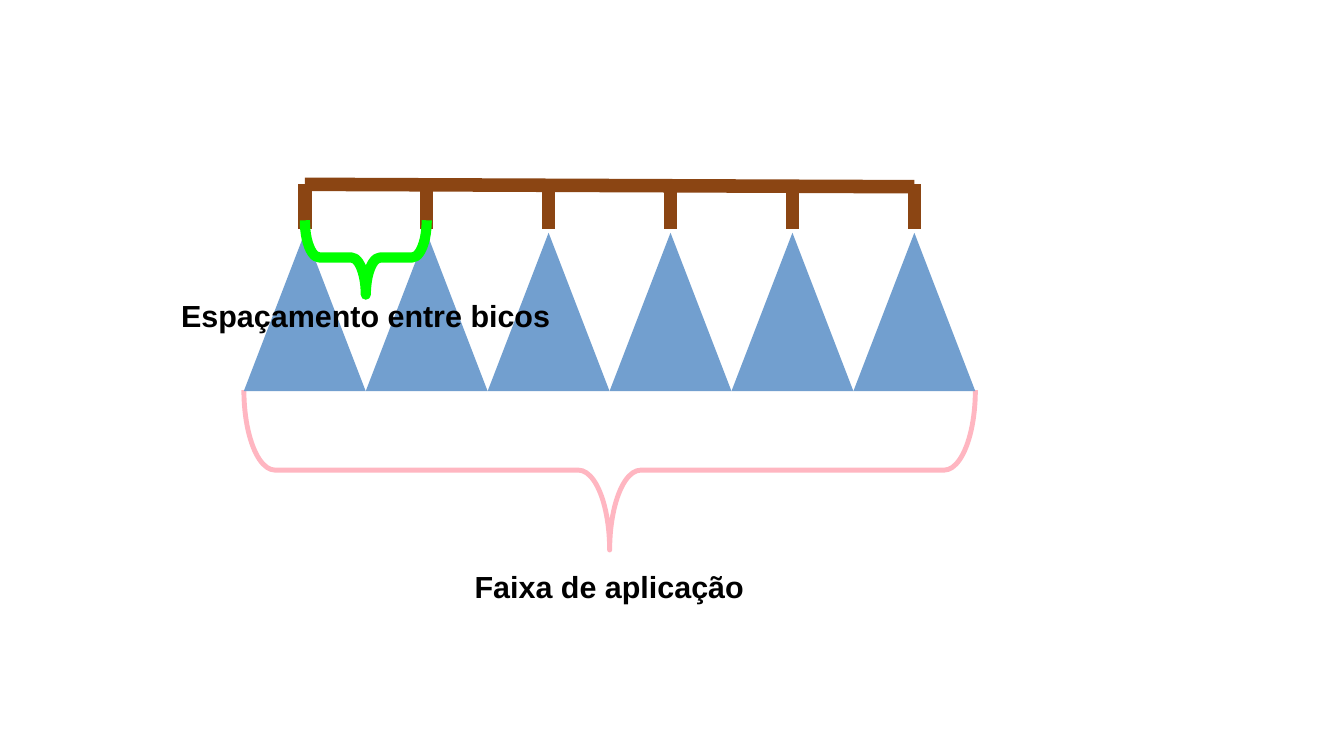
from dataclasses import dataclass
from lxml.etree import SubElement
from pptx import Presentation
from pptx.dml.color import RGBColor
from pptx.enum.shapes import MSO_CONNECTOR, MSO_SHAPE
from pptx.enum.text import MSO_AUTO_SIZE, PP_ALIGN
from pptx.oxml.ns import qn
from pptx.util import Cm, Pt


@dataclass(frozen=True)
class Theme:
    spray: RGBColor = RGBColor.from_string("729FCF")
    boom: RGBColor = RGBColor.from_string("8B4513")
    spacing: RGBColor = RGBColor.from_string("00FF00")
    swath: RGBColor = RGBColor.from_string("FFB6C1")
    ink: RGBColor = RGBColor.from_string("000000")
    font: str = "Arial"
    caption_size: Pt = Pt(18)
    boom_width: Pt = Pt(8)
    spacing_width: Pt = Pt(6)
    swath_width: Pt = Pt(2.9)


THEME = Theme()
NOZZLES = 6
PITCH = 2.54
SPRAY_LEFT = 5.08
SPRAY_TOP, SPRAY_HEIGHT = 4.85, 3.3
BOOM_TOP, NOZZLE_END, BOOM_DROP = 3.84, 4.78, 0.05

CAPTIONS = {
    "swath": ("Faixa de aplicação", 8.76, 11.71, 7.87),
    "spacing": ("Espaçamento entre bicos", 2.54, 6.07, 10.16),
}
CAPTION_HEIGHT = 1.02

deck = Presentation()
deck.slide_width, deck.slide_height = Cm(28), Cm(15.75)
slide = deck.slides.add_slide(deck.slide_layouts[6])
shapes = slide.shapes


def add_brace(left, top, span, depth, color, width):
    middle_x, middle_y = left + span / 2, top + depth / 2
    brace = shapes.add_shape(
        MSO_SHAPE.RIGHT_BRACE,
        Cm(middle_x - depth / 2), Cm(middle_y - span / 2), Cm(depth), Cm(span),
    )
    brace.rotation = 90
    brace.adjustments[0] = 0.195
    brace.shadow.inherit = False
    brace.fill.background()
    brace.line.color.rgb = color
    brace.line.width = width


def add_pipe(x1, y1, x2, y2):
    pipe = shapes.add_connector(MSO_CONNECTOR.STRAIGHT, Cm(x1), Cm(y1), Cm(x2), Cm(y2))
    pipe.line.color.rgb = THEME.boom
    pipe.line.width = THEME.boom_width
    SubElement(pipe._element.spPr, qn("a:effectLst"))


def add_spray(left):
    spray = shapes.add_shape(
        MSO_SHAPE.ISOSCELES_TRIANGLE,
        Cm(left), Cm(SPRAY_TOP), Cm(PITCH), Cm(SPRAY_HEIGHT),
    )
    spray.shadow.inherit = False
    spray.fill.solid()
    spray.fill.fore_color.rgb = THEME.spray
    spray.line.fill.background()


def add_caption(words, left, top, width):
    frame = shapes.add_textbox(Cm(left), Cm(top), Cm(width), Cm(CAPTION_HEIGHT)).text_frame
    frame.word_wrap = True
    frame.auto_size = MSO_AUTO_SIZE.SHAPE_TO_FIT_TEXT
    caption = frame.paragraphs[0]
    caption.text = words
    caption.alignment = PP_ALIGN.CENTER
    caption.font.name = THEME.font
    caption.font.size = THEME.caption_size
    caption.font.bold = True
    caption.font.color.rgb = THEME.ink


nozzle_xs = [SPRAY_LEFT + PITCH * (n + 0.5) for n in range(NOZZLES)]

add_brace(SPRAY_LEFT, 8.13, NOZZLES * PITCH, 3.33, THEME.swath, THEME.swath_width)
add_caption(*CAPTIONS["swath"])
add_pipe(nozzle_xs[0], BOOM_TOP, nozzle_xs[-1], BOOM_TOP + BOOM_DROP)
for nozzle_x in nozzle_xs:
    add_pipe(nozzle_x, BOOM_TOP, nozzle_x, NOZZLE_END)
    add_spray(nozzle_x - PITCH / 2)
add_caption(*CAPTIONS["spacing"])
add_brace(nozzle_xs[0], 4.59, PITCH, 1.55, THEME.spacing, THEME.spacing_width)

deck.save("out.pptx")
